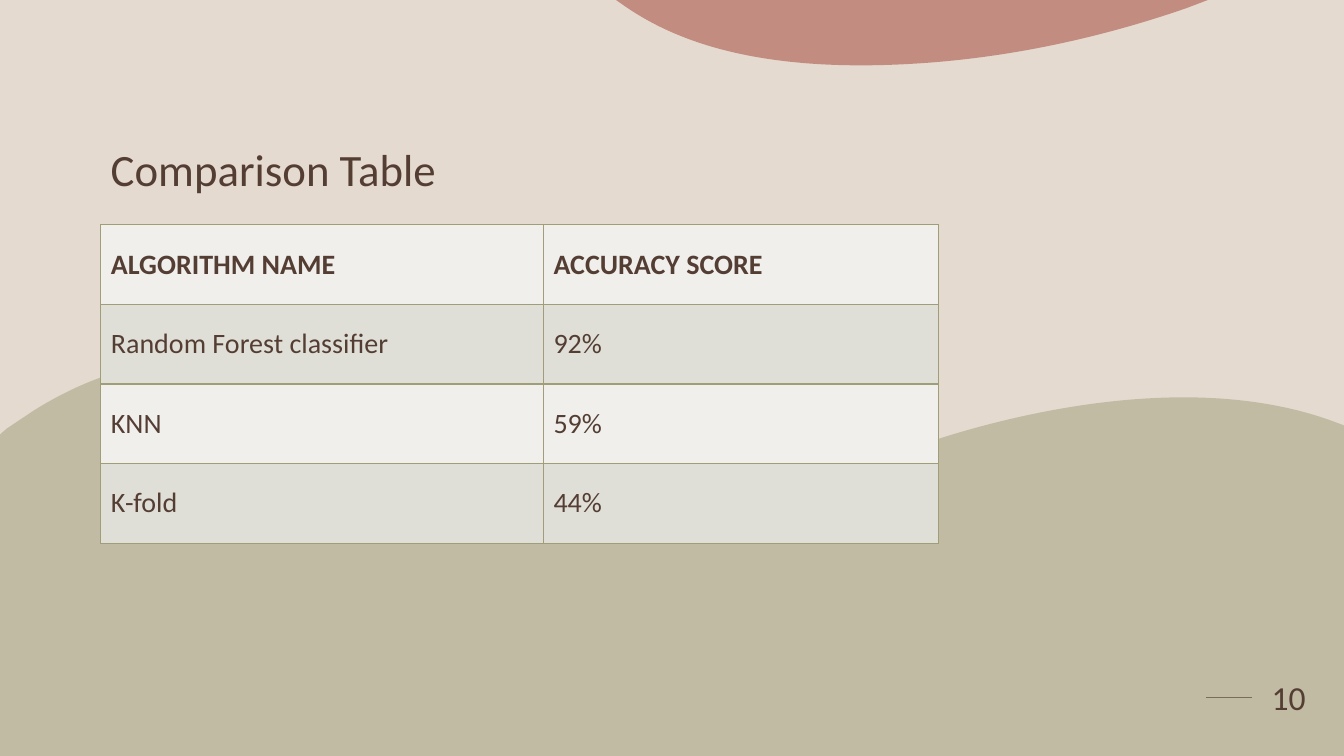
import dataclasses

import lxml.etree
import pptx
import pptx.dml.color
import pptx.enum.shapes
import pptx.enum.text
import pptx.oxml.ns
import pptx.util

qn = pptx.oxml.ns.qn
ANCHOR = pptx.enum.text.MSO_ANCHOR
ALIGN = pptx.enum.text.PP_ALIGN


@dataclasses.dataclass(frozen=True)
class Theme:
    font: str = "Calibri"
    sand: str = "E5DACF"
    brown: str = "543E34"
    olive: str = "A09D79"
    clay: str = "AC5B4C"
    bands: tuple = ("F0EFEC", "DFDFD7")
    title: int = 32
    number: int = 24
    body: int = 20
    rule: float = 1.25
    border: float = 1


THEME = Theme()

# The slide is a grid of square cells; all lengths count columns and rows.
CELL = pptx.util.Inches(1)
COLS, ROWS = 13.33, 7.5

# One point is a straight edge; three points are a cubic curve.
HILL = [
    [(2.02, 3.58)],
    [(2.36, 3.59), (2.7, 3.66), (3.04, 3.79)],
    [(3.34, 3.9), (3.6, 4.08), (3.86, 4.25)],
    [(4.43, 4.62), (5.05, 4.9), (5.77, 5)],
    [(6.37, 5.09), (6.98, 5.03), (7.59, 4.88)],
    [(8.27, 4.72), (8.67, 4.57), (9.08, 4.43)],
    [(9.48, 4.29), (11.61, 3.57), (13.25, 4.19)],
    [(COLS, 4.22)], [(COLS, ROWS)], [(0, ROWS)], [(0, 4.31)], [(0.07, 4.25)],
    [(0.16, 4.19), (0.25, 4.13), (0.34, 4.07)],
    [(0.9, 3.72), (1.46, 3.56), (2.02, 3.58)],
]
CLOUD = [
    [(6.11, 0)], [(11.98, 0)], [(11.77, 0.08)],
    [(10.56, 0.5), (9.61, 0.59), (9.24, 0.62)],
    [(7.56, 0.75), (6.71, 0.41), (6.21, 0.07)],
]
SCORES = [
    ("ALGORITHM NAME", "ACCURACY SCORE"),
    ("Random Forest classifier", "92%"),
    ("KNN", "59%"),
    ("K-fold", "44%"),
]


def grid(*cells):
    return [pptx.util.Emu(round(cell * CELL)) for cell in cells]


def color(code):
    return pptx.dml.color.RGBColor.from_string(code)


def paint(fill, code):
    fill.solid()
    fill.fore_color.rgb = color(code)


def write(frame, text, size, bold=False, align=ALIGN.LEFT):
    para = frame.paragraphs[0]
    para.text = text
    para.alignment = align
    para.font.name = THEME.font
    para.font.size = pptx.util.Pt(size)
    para.font.bold = bold
    para.font.color.rgb = color(THEME.brown)
    return para


def add_label(slide, box, text, size, anchor, align=ALIGN.LEFT):
    frame = slide.shapes.add_textbox(*grid(*box)).text_frame
    frame.word_wrap = True
    frame.vertical_anchor = anchor
    return write(frame, text, size, align=align)


def bend(blob, edges):
    """Turn the straight edges that have control points into cubic curves."""
    lines = list(blob.element.iter(qn("a:lnTo")))
    for line, (*pulls, _) in zip(lines, edges[1:]):
        if not pulls:
            continue
        line.tag = qn("a:cubicBezTo")
        for spot, pull in enumerate(pulls):
            x, y = grid(*pull)
            point = lxml.etree.Element(
                qn("a:pt"), x=str(x - blob.left), y=str(y - blob.top))
            line.insert(spot, point)


def add_blob(slide, edges, height, code, alpha):
    first, *rest = [grid(*edge[-1]) for edge in edges]
    pen = slide.shapes.build_freeform(*first)
    pen.add_line_segments(rest, close=True)
    blob = pen.convert_to_shape()
    bend(blob, edges)
    blob.height = grid(height)[0]
    next(blob.element.iter(qn("a:path"))).set("h", str(blob.height))
    blob.shadow.inherit = False
    blob.line.fill.background()
    paint(blob.fill, code)
    tint = blob.element.spPr.find(qn("a:solidFill"))[0]
    lxml.etree.SubElement(tint, qn("a:alpha"), val=str(alpha * 1000))


def add_rule(slide, start, end):
    rule = slide.shapes.add_connector(
        pptx.enum.shapes.MSO_CONNECTOR.STRAIGHT, *grid(*start, *end))
    rule.line.color.rgb = color(THEME.brown)
    rule.line.width = pptx.util.Pt(THEME.rule)
    lxml.etree.SubElement(rule.element.spPr, qn("a:effectLst"))


def frame_cell(cell):
    """Draw all four borders; this must come before the cell's fill."""
    props = cell._tc.get_or_add_tcPr()
    width = str(pptx.util.Pt(THEME.border))
    for side in "LRTB":
        edge = lxml.etree.SubElement(props, qn("a:ln" + side), w=width)
        fill = lxml.etree.SubElement(edge, qn("a:solidFill"))
        lxml.etree.SubElement(fill, qn("a:srgbClr"), val=THEME.olive)


def add_scores(slide, left, top, widths, height):
    box = grid(left, top, sum(widths), height * len(SCORES))
    table = slide.shapes.add_table(len(SCORES), len(widths), *box).table
    table.first_row = table.horz_banding = False
    for col, width in zip(table.columns, grid(*widths)):
        col.width = width
    for r, texts in enumerate(SCORES):
        table.rows[r].height = grid(height)[0]
        for c, text in enumerate(texts):
            cell = table.cell(r, c)
            frame_cell(cell)
            paint(cell.fill, THEME.bands[r % 2])
            cell.vertical_anchor = ANCHOR.MIDDLE
            write(cell.text_frame, text, THEME.body, bold=r == 0)


def main():
    deck = pptx.Presentation()
    deck.slide_width, deck.slide_height = grid(COLS, ROWS)
    slide = deck.slides.add_slide(deck.slide_layouts[6])
    paint(slide.background.fill, THEME.sand)
    add_rule(slide, (11.96, 6.92), (12.42, 6.92))
    add_blob(slide, HILL, 3.92, THEME.olive, 50)
    add_blob(slide, CLOUD, 0.65, THEME.clay, 60)
    title = add_label(slide, (1, 1, COLS - 2, 1), "Comparison Table",
                      THEME.title, ANCHOR.BOTTOM)
    title.line_spacing = 0.9
    add_scores(slide, 1, 2.23, (4.39, 3.92), 0.79)
    add_label(slide, (12.42, 6.43, 0.72, 0.98), "10",
              THEME.number, ANCHOR.MIDDLE, ALIGN.CENTER)
    deck.save("out.pptx")


if __name__ == "__main__":
    main()
